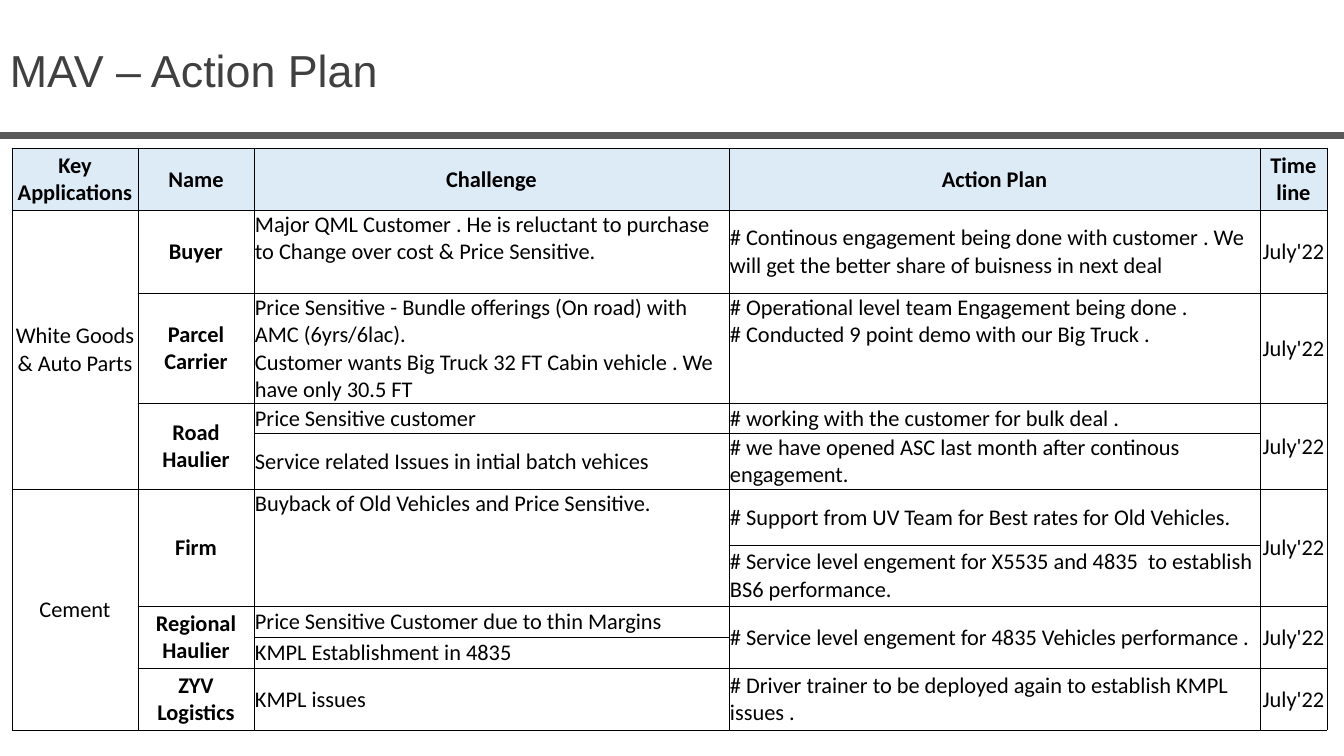
from lxml import etree
from pptx import Presentation
from pptx import util as u
from pptx.dml.color import RGBColor
from pptx.enum import shapes, text
from pptx.oxml.ns import qn

TITLE = "MAV – Action Plan"
DATE = "July'22"
# None continues the cell above
ROWS = [
    ("Key Applications", "Name", "Challenge", "Action Plan", "Time line"),
    ("White Goods & Auto Parts", "Buyer",
     "Major QML Customer . He is reluctant to purchase to Change over cost & Price Sensitive.",
     "# Continous engagement being done with customer . We will get the better share of "
     "buisness in next deal", DATE),
    (None, "Parcel Carrier",
     "Price Sensitive - Bundle offerings (On road) with AMC (6yrs/6lac).\n"
     "Customer wants Big Truck 32 FT Cabin vehicle . We have only 30.5 FT",
     "# Operational level team Engagement being done .\n"
     "# Conducted 9 point demo with our Big Truck .", DATE),
    (None, "Road Haulier", "Price Sensitive customer",
     "# working with the customer for bulk deal .", DATE),
    (None, None, "Service related Issues in intial batch vehices",
     "# we have opened ASC last month after continous engagement.", None),
    ("Cement", "Firm", "Buyback of Old Vehicles and Price Sensitive.",
     "# Support from UV Team for Best rates for Old Vehicles.", DATE),
    (None, None, None,
     "# Service level engement for X5535 and 4835  to establish BS6 performance.", None),
    (None, "Regional Haulier", "Price Sensitive Customer due to thin Margins",
     "# Service level engement for 4835 Vehicles performance .", DATE),
    (None, None, "KMPL Establishment in 4835", None, None),
    (None, "ZYV Logistics", "KMPL issues",
     "# Driver trainer to be deployed again to establish KMPL issues .", DATE),
]
TOP = {(1, 2), (2, 2), (2, 3), (5, 2)}  # cells whose text starts at the top
WIDTHS = [126, 116, 475, 531, 67]
HEIGHTS = [62, 83, 110, 30, 56, 56, 61, 31, 31, 62]
HEX = {"title": "404040", "rule": "595959", "text": "000000", "head": "DDEBF7"}
SCALE = 12192000 / 1344


def px(n):
    return u.Emu(round(n * SCALE))


def color(name):
    return RGBColor.from_string(HEX[name])


def style(para, face, size, name, bold=False):
    font = para.font
    font.name, font.size, font.bold = face, u.Pt(size), bold
    font.color.rgb = color(name)


def edge(cell):
    """Draw a thin line on all four sides of a cell."""
    props = cell._tc.get_or_add_tcPr()
    for side in ("a:lnL", "a:lnR", "a:lnT", "a:lnB"):
        line = etree.SubElement(props, qn(side), w=str(u.Pt(0.5)))
        fill = etree.SubElement(line, qn("a:solidFill"))
        etree.SubElement(fill, qn("a:srgbClr"), val=HEX["text"])


def add_title(slide):
    rule = slide.shapes.add_connector(
        shapes.MSO_CONNECTOR.STRAIGHT, 0, px(136), px(1344), px(136))
    rule.line.color.rgb = color("rule")
    rule.line.width = u.Pt(5)
    etree.SubElement(rule._element.spPr, qn("a:effectLst"))

    frame = slide.shapes.add_textbox(0, px(38), px(1120), px(65)).text_frame
    frame.word_wrap = True
    frame.auto_size = text.MSO_AUTO_SIZE.SHAPE_TO_FIT_TEXT
    frame.text = TITLE
    style(frame.paragraphs[0], "Arial", 32, "title")


def add_plan(slide):
    table = slide.shapes.add_table(
        len(ROWS), len(WIDTHS), px(12), px(148),
        px(sum(WIDTHS)), px(sum(HEIGHTS))).table
    table.first_row = table.horz_banding = False
    for col, width in zip(table.columns, WIDTHS):
        col.width = px(width)
    for row, height in zip(table.rows, HEIGHTS):
        row.height = px(height)

    for r, row in enumerate(ROWS):
        for c, words in enumerate(row):
            cell = table.cell(r, c)
            edge(cell)
            if r == 0:
                cell.fill.solid()
                cell.fill.fore_color.rgb = color("head")
            else:
                cell.fill.background()
            if words is None:
                continue
            end = r
            while end + 1 < len(ROWS) and ROWS[end + 1][c] is None:
                end += 1
            if end > r:
                cell.merge(table.cell(end, c))
            cell.margin_left = cell.margin_right = cell.margin_top = px(1)
            cell.margin_bottom = 0
            cell.vertical_anchor = (
                text.MSO_ANCHOR.TOP if (r, c) in TOP else text.MSO_ANCHOR.MIDDLE)
            cell.text = words
            for para in cell.text_frame.paragraphs:
                left = r > 0 and c in (2, 3)
                para.alignment = text.PP_ALIGN.LEFT if left else text.PP_ALIGN.CENTER
                style(para, "Calibri", 16, "text", r == 0 or c == 1)


def main():
    deck = Presentation()
    deck.slide_width, deck.slide_height = px(1344), px(756)
    slide = deck.slides.add_slide(deck.slide_layouts[6])
    add_title(slide)
    add_plan(slide)
    deck.save("out.pptx")


if __name__ == "__main__":
    main()
